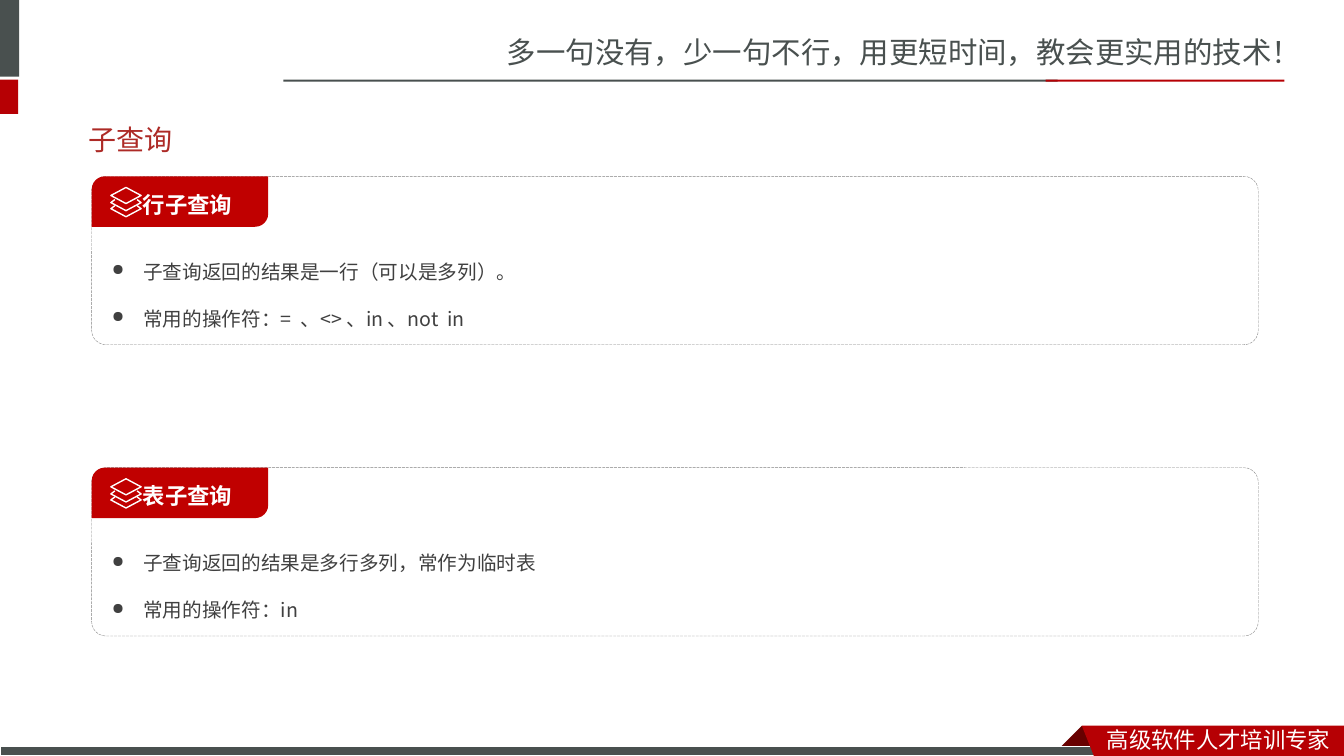
from lxml import etree
from pptx import Presentation
from pptx.dml.color import RGBColor
from pptx.enum.dml import MSO_LINE
from pptx.enum.shapes import MSO_SHAPE
from pptx.enum.text import MSO_ANCHOR, PP_ALIGN
from pptx.oxml.ns import qn
from pptx.util import Inches, Pt

RECT = MSO_SHAPE.RECTANGLE
ROUNDED = MSO_SHAPE.ROUNDED_RECTANGLE
TAB = MSO_SHAPE.ROUND_2_DIAG_RECTANGLE
LONG_DASH = MSO_LINE.LONG_DASH
TOP, MIDDLE = MSO_ANCHOR.TOP, MSO_ANCHOR.MIDDLE
LEFT = PP_ALIGN.LEFT

SLATE = RGBColor(0x49, 0x50, 0x4F)
RED = RGBColor(0xB6, 0x00, 0x04)
DARK_RED = RGBColor(0x68, 0x00, 0x00)
TAB_RED = RGBColor(0xC0, 0x00, 0x00)
TITLE_RED = RGBColor(0xAD, 0x2A, 0x26)
GRAY = RGBColor(0x80, 0x80, 0x80)
TEXT_GRAY = RGBColor(0x40, 0x40, 0x40)
WHITE = RGBColor(0xFF, 0xFF, 0xFF)

SANS_SC = "Noto Sans CJK SC"
SANS_JP = "Noto Sans CJK JP"
TITLE_FONT = "Roboto"

PANELS = [
    ("行子查询", ["子查询返回的结果是一行（可以是多列）。",
              "常用的操作符：=  、<> 、in 、not  in"]),
    ("表子查询", ["子查询返回的结果是多行多列，常作为临时表",
              "常用的操作符：in"]),
]


def set_font(paragraph, name, size, color, bold=False):
    """Style a whole paragraph, for Latin and East Asian letters alike."""
    paragraph.alignment = LEFT
    font = paragraph.font
    font.name, font.size, font.bold = name, Pt(size), bold
    font.color.rgb = color
    defaults = paragraph._p.pPr.find(qn("a:defRPr"))
    etree.SubElement(defaults, qn("a:ea"), typeface=name)


def set_bullet(paragraph, indent):
    properties = paragraph._p.get_or_add_pPr()
    properties.set("marL", str(indent))
    properties.set("indent", str(-indent))
    etree.SubElement(properties, qn("a:buSzPct"), val="80000")
    etree.SubElement(properties, qn("a:buChar"), char="●")


def set_frame(frame, insets, anchor):
    frame.word_wrap = True
    frame.vertical_anchor = anchor
    (frame.margin_left, frame.margin_top,
     frame.margin_right, frame.margin_bottom) = map(Inches, insets)


def paint(shape, fill=None, line=None, width=0.75):
    shape.shadow.inherit = False
    if fill is None:
        shape.fill.background()
    else:
        shape.fill.solid()
        shape.fill.fore_color.rgb = fill
    if line is None:
        shape.line.fill.background()
    else:
        shape.line.color.rgb = line
        shape.line.width = Pt(width)


def add_block(slide, kind, box, fill=None, line=None, width=0.75):
    block = slide.shapes.add_shape(kind, *map(Inches, box))
    paint(block, fill, line, width)
    return block


def add_outline(slide, points, closed=True, **colors):
    start, *others = [(Inches(x), Inches(y)) for x, y in points]
    builder = slide.shapes.build_freeform(*start)
    builder.add_line_segments(others, close=closed)
    paint(builder.convert_to_shape(), **colors)


def add_label(slide, box, text, size, color):
    frame = slide.shapes.add_textbox(*map(Inches, box)).text_frame
    set_frame(frame, (0.1, 0.05, 0.1, 0.05), TOP)
    frame.text = text
    set_font(frame.paragraphs[0], SANS_SC, size, color)


def add_header(slide):
    add_label(slide, (4.93, 0.29, 8.4, 0.47),
              "多一句没有，少一句不行，用更短时间，教会更实用的技术！", 21, SLATE)
    for box, color in [((0, 0, 0.19, 0.76), SLATE),
                       ((0, 0.79, 0.18, 0.34), RED),
                       ((2.81, 0.79, 7.68, 0.02), SLATE),
                       ((10.37, 0.79, 2.37, 0.02), RED)]:
        add_block(slide, RECT, box, color)


def add_footer(slide, left, top, right, bottom):
    """Draw the bottom bar and the folded ribbon, whose corner is left, top."""
    add_outline(slide, [(left, top), (left + 0.22, top + 0.22),
                        (left - 0.22, top + 0.22)], fill=DARK_RED)
    add_block(slide, RECT, (0, 7.41, 10.99, bottom - 7.41), SLATE, WHITE)
    add_outline(slide, [(left, top), (right, top), (right, bottom),
                        (left + 0.12, bottom)], fill=RED)
    add_label(slide, (left + 0.15, top - 0.05, right - left - 0.15, 0.35),
              "高级软件人才培训专家", 16, WHITE)


def add_title(slide, box):
    title = slide.shapes.title
    title.left, title.top, title.width, title.height = map(Inches, box)
    set_frame(title.text_frame, (0.1, 0.05, 0.1, 0.05), MIDDLE)
    title.text_frame.text = "子查询"
    set_font(title.text_frame.paragraphs[0], TITLE_FONT, 20, TITLE_RED)


def add_layers_icon(slide, left, top):
    """Draw a stack of three sheets, the lower two partly covered."""
    middle, right = left + 0.15, left + 0.3
    add_outline(slide, [(middle, top), (right, top + 0.08),
                        (middle, top + 0.16), (left, top + 0.08)],
                line=WHITE, width=1)
    for sheet_top in (top + 0.12, top + 0.18):
        add_outline(slide, [(left + 0.04, sheet_top), (left, sheet_top + 0.03),
                            (middle, sheet_top + 0.11),
                            (right, sheet_top + 0.03),
                            (right - 0.04, sheet_top)],
                    closed=False, line=WHITE, width=1)


def add_panel(slide, left, top, width, height, heading, points):
    panel = add_block(slide, ROUNDED, (left, top, width, height),
                      line=GRAY, width=0.25)
    panel.adjustments[0] = 0.085
    panel.line.dash_style = LONG_DASH
    frame = panel.text_frame
    set_frame(frame, (0.16, 0.55, 0.08, 0.16), TOP)
    frame.text = "\n".join(points)
    for paragraph in frame.paragraphs:
        paragraph.line_spacing = 2.0
        set_bullet(paragraph, Inches(0.31))
        set_font(paragraph, SANS_JP, 14, TEXT_GRAY)

    tab = add_block(slide, TAB, (left, top, 1.75, 0.5), TAB_RED)
    tab.adjustments[0] = 0.258
    set_frame(tab.text_frame, (0.47, 0, 0.04, 0.08), MIDDLE)
    tab.text_frame.text = heading
    tab_heading = tab.text_frame.paragraphs[0]
    tab_heading.line_spacing = 1.5
    set_font(tab_heading, SANS_JP, 16, WHITE, bold=True)
    add_layers_icon(slide, left + 0.19, top + 0.11)


def main():
    deck = Presentation()
    deck.slide_width, deck.slide_height = Inches(13.33), Inches(7.5)
    slide = deck.slides.add_slide(deck.slide_layouts.get_by_name("Title Only"))
    add_header(slide)
    add_footer(slide, 10.73, 7.2, 13.33, 7.5)
    add_title(slide, (0.78, 1.1, 11.7, 0.57))
    for row, (heading, points) in enumerate(PANELS):
        add_panel(slide, 0.91, 1.75 + 2.89 * row, 11.57, 1.67, heading, points)
    deck.save("out.pptx")


if __name__ == "__main__":
    main()
